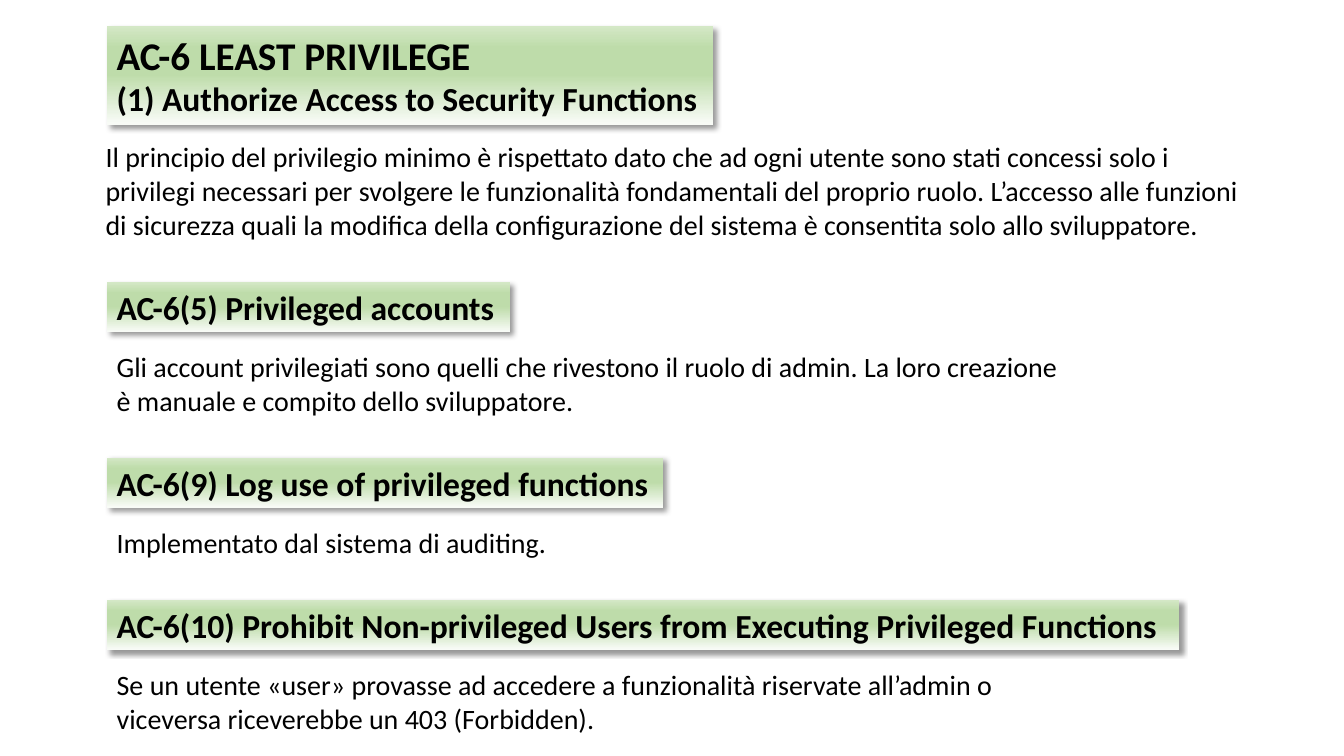
from dataclasses import dataclass

from lxml import etree
from pptx import Presentation
from pptx.dml.color import RGBColor
from pptx.enum.shapes import MSO_SHAPE as Preset
from pptx.enum.text import MSO_ANCHOR as Anchor, MSO_AUTO_SIZE as AutoSize, PP_ALIGN as Align
from pptx.oxml import parse_xml
from pptx.oxml.ns import nsdecls, qn
from pptx.util import Cm, Pt


@dataclass(frozen=True)
class Theme:
    font: str = "Calibri"
    text: str = "000000"
    shadow: str = "000000"
    banner_stops: tuple = ((2, "F8FBF6"), (51, "BEDCAA"), (78, "BEDCAA"), (100, "D4E8C6"))
    title_size: int = 28
    heading_size: int = 24
    body_size: int = 20


@dataclass(frozen=True)
class Section:
    headings: tuple
    body: str
    banner_width: float
    banner_height: float
    body_width: float
    body_height: float
    body_gap: float = 0.31
    body_shift: float = 0


THEME = Theme()
LEFT, TOP, SECTION_GAP = 2.69, 0.66, 0.89

SECTIONS = (
    Section(
        (("AC-6 LEAST PRIVILEGE", THEME.title_size),
         ("(1) Authorize Access to Security Functions", THEME.heading_size)),
        "Il principio del privilegio minimo è rispettato dato che ad ogni utente sono stati "
        "concessi solo i privilegi necessari per svolgere le funzionalità fondamentali del "
        "proprio ruolo. L’accesso alle funzioni di sicurezza quali la modifica della "
        "configurazione del sistema è consentita solo allo sviluppatore.",
        15.29, 2.49, 29.49, 2.82, body_gap=0.25, body_shift=-0.28,
    ),
    Section(
        (("AC-6(5) Privileged accounts", THEME.heading_size),),
        "Gli account privilegiati sono quelli che rivestono il ruolo di admin. La loro "
        "creazione è manuale e compito dello sviluppatore.",
        10.16, 1.27, 24.38, 1.95,
    ),
    Section(
        (("AC-6(9) Log use of privileged functions", THEME.heading_size),),
        "Implementato dal sistema di auditing.",
        14.02, 1.27, 11.38, 1.12,
    ),
    Section(
        (("AC-6(10) Prohibit Non-privileged Users from Executing Privileged Functions",
          THEME.heading_size),),
        "Se un utente «user» provasse ad accedere a funzionalità riservate all’admin o "
        "viceversa riceverebbe un 403 (Forbidden).",
        27.03, 1.27, 24.08, 1.95,
    ),
)


def write_lines(shape, lines, bold, wrap):
    frame = shape.text_frame
    frame.word_wrap = wrap
    frame.auto_size = AutoSize.SHAPE_TO_FIT_TEXT
    frame.vertical_anchor = Anchor.TOP
    for index, (text, size) in enumerate(lines):
        paragraph = frame.add_paragraph() if index else frame.paragraphs[0]
        paragraph.text = text
        paragraph.alignment = Align.LEFT
        paragraph.font.name = THEME.font
        paragraph.font.size = Pt(size)
        paragraph.font.bold = bold
        paragraph.font.color.rgb = RGBColor.from_string(THEME.text)


def style_banner(shape):
    shape.line.fill.background()
    shape.shadow.inherit = False
    shape.fill.background()
    properties = shape.fill._xPr
    stops = "".join(
        f'<a:gs pos="{position * 1000}"><a:srgbClr val="{color}"/></a:gs>'
        for position, color in THEME.banner_stops
    )
    gradient = parse_xml(
        f'<a:gradFill {nsdecls("a")} rotWithShape="1"><a:gsLst>{stops}</a:gsLst>'
        '<a:lin ang="16200000" scaled="0"/></a:gradFill>'
    )
    properties.replace(properties.find(qn("a:noFill")), gradient)
    effects = properties.find(qn("a:effectLst"))
    shadow = etree.SubElement(
        effects, qn("a:outerShdw"), blurRad=str(Pt(4)), dist=str(Pt(3)),
        dir="2700000", algn="tl", rotWithShape="0",
    )
    color = etree.SubElement(shadow, qn("a:srgbClr"), val=THEME.shadow)
    etree.SubElement(color, qn("a:alpha"), val="40000")


def add_banner(slide, left, top, width, height, headings):
    banner = slide.shapes.add_shape(Preset.RECTANGLE, Cm(left), Cm(top), Cm(width), Cm(height))
    style_banner(banner)
    write_lines(banner, headings, bold=True, wrap=False)


def add_body(slide, left, top, width, height, text):
    body = slide.shapes.add_textbox(Cm(left), Cm(top), Cm(width), Cm(height))
    write_lines(body, ((text, THEME.body_size),), bold=False, wrap=True)


def add_section(slide, left, top, section):
    add_banner(slide, left, top, section.banner_width, section.banner_height, section.headings)
    body_top = top + section.banner_height + section.body_gap
    add_body(slide, left + section.body_shift, body_top,
             section.body_width, section.body_height, section.body)
    return body_top + section.body_height


def main():
    presentation = Presentation()
    presentation.slide_width = Cm(33.87)
    presentation.slide_height = Cm(19.05)
    slide = presentation.slides.add_slide(presentation.slide_layouts[6])
    top = TOP
    for section in SECTIONS:
        top = add_section(slide, LEFT, top, section) + SECTION_GAP
    presentation.save("out.pptx")


if __name__ == "__main__":
    main()
